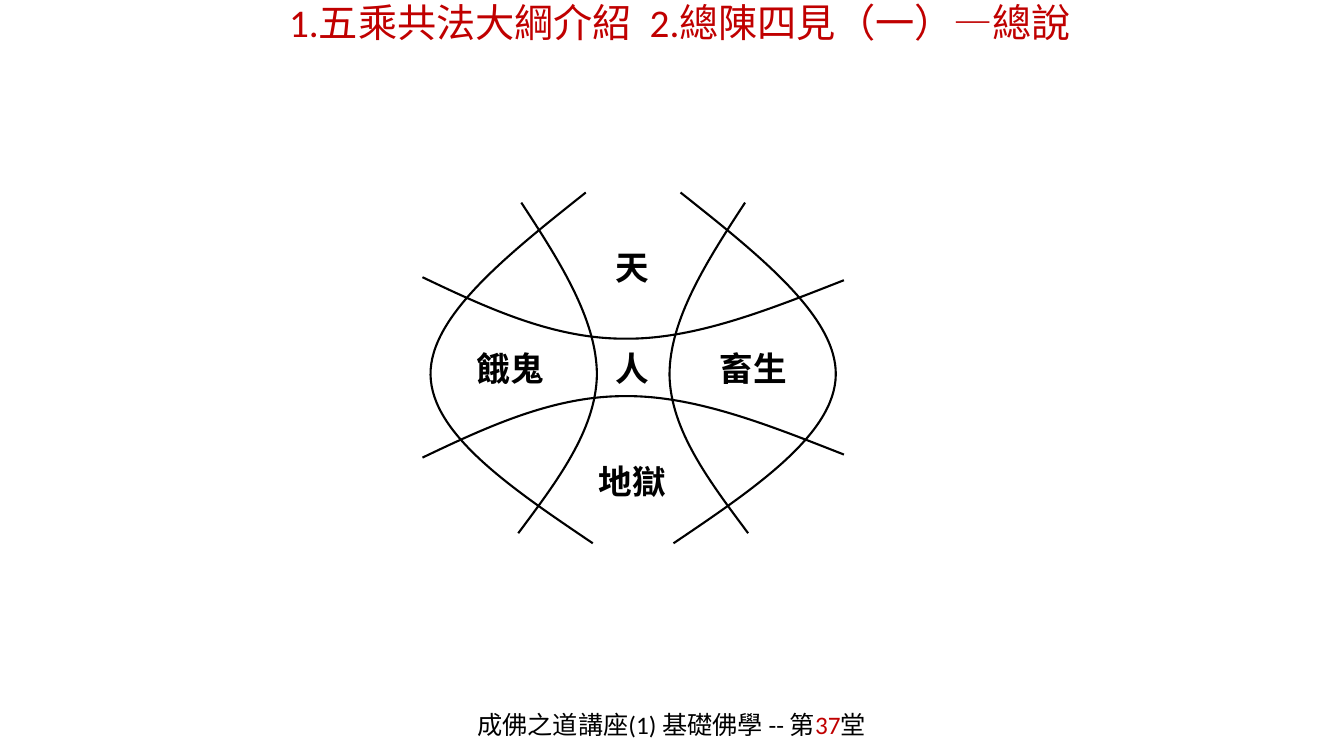
from dataclasses import dataclass

import pptx
import pptx.dml.color
import pptx.enum.text
import pptx.oxml
import pptx.oxml.ns
import pptx.util

Inches = pptx.util.Inches
qn = pptx.oxml.ns.qn
NS = pptx.oxml.ns.nsdecls("a")
ALIGN = pptx.enum.text.PP_ALIGN
ANCHOR = pptx.enum.text.MSO_ANCHOR
BLACK, RED = "000000", "C00000"
MIRROR_X, MIRROR_Y = 12.56, 7.29

Point = tuple[float, float]


@dataclass
class Run:
    text: str
    color: str = BLACK
    spacing: int = 0


@dataclass
class Text:
    box: tuple[float, float, float, float]
    runs: list[Run]
    font: dict
    frame: dict
    paragraph: dict
    indent: float = 0
    shadow: bool = False


@dataclass
class Arc:
    points: list[Point]
    flip_x: bool = False
    flip_y: bool = False


def rgb(color: str) -> pptx.dml.color.RGBColor:
    return pptx.dml.color.RGBColor.from_string(color)


def apply(target, values: dict) -> None:
    for name, value in values.items():
        setattr(target, name, value)


def add_text(s, text: Text) -> None:
    sp = s.shapes.add_textbox(*map(Inches, text.box))
    tf = sp.text_frame
    apply(tf, text.frame)
    p = tf.paragraphs[0]
    apply(p, text.paragraph)
    if text.indent:
        pPr = p._p.get_or_add_pPr()
        pPr.set("marL", "0")
        pPr.set("indent", str(Inches(text.indent)))
    for run in text.runs:
        r = p.add_run()
        r.text = run.text
        apply(r.font, {"name": "Calibri", **text.font})
        r.font.color.rgb = rgb(run.color)
        rPr = r._r.get_or_add_rPr()
        if run.spacing:
            rPr.set("spc", str(run.spacing))
        if text.shadow:
            rPr.find(qn("a:solidFill")).addnext(pptx.oxml.parse_xml(
                f'<a:effectLst {NS}><a:outerShdw blurRad="38100" dist="38100" dir="2700000">'
                '<a:srgbClr val="000000"><a:alpha val="43000"/></a:srgbClr>'
                '</a:outerShdw></a:effectLst>'))


def add_arc(s, arc: Arc) -> None:
    pts = [(Inches(MIRROR_X - x if arc.flip_x else x),
            Inches(MIRROR_Y - y if arc.flip_y else y)) for x, y in arc.points]
    builder = s.shapes.build_freeform(*pts[0])
    builder.add_line_segments([pts[3], pts[6]], close=False)
    sp = builder.convert_to_shape()
    sp.shadow.inherit = False
    sp.fill.background()
    sp.line.color.rgb = rgb(BLACK)
    sp.line.width = pptx.util.Pt(1.5)
    segments = list(sp._element.iter(qn("a:lnTo")))
    for segment, start in zip(segments, (1, 4)):
        coords = "".join(f'<a:pt x="{x - sp.left}" y="{y - sp.top}"/>'
                         for x, y in pts[start:start + 3])
        curve = pptx.oxml.parse_xml(f"<a:cubicBezTo {NS}>{coords}</a:cubicBezTo>")
        segment.getparent().replace(segment, curve)


INNER = [(5.17, 2.01), (5.55, 2.59), (5.92, 3.17), (5.92, 3.72),
         (5.91, 4.27), (5.52, 4.78), (5.14, 5.29)]
OUTER = [(5.81, 1.91), (5.03, 2.53), (4.26, 3.14), (4.27, 3.72),
         (4.28, 4.31), (5.08, 4.85), (5.88, 5.39)]
UPPER = [(8.37, 2.78), (7.63, 3.07), (6.89, 3.37), (6.19, 3.36),
         (5.49, 3.36), (4.84, 3.06), (4.19, 2.75)]
ARCS = [Arc(INNER), Arc(INNER, flip_x=True), Arc(UPPER), Arc(UPPER, flip_y=True),
        Arc(OUTER), Arc(OUTER, flip_x=True)]

REALMS = [("人", 6.01, 3.4), ("天", 6.01, 2.4), ("地獄", 5.84, 4.52),
          ("畜生", 7.04, 3.4), ("餓鬼", 4.63, 3.4)]
REALM_WIDTH = {1: 0.54, 2: 0.88}

FOOTER = Text(
    (4.62, 6.97, 4.08, 0.44),
    [Run("成佛之道講座(1) 基礎佛學 -- 第"), Run("37", RED), Run("堂")],
    {"size": pptx.util.Pt(18)},
    {"word_wrap": True, "vertical_anchor": ANCHOR.MIDDLE},
    {"alignment": ALIGN.CENTER}, shadow=True)
TITLE = Text(
    (0.35, -0.11, 12.62, 0.85),
    [Run("1.五乘共法大綱介紹", RED), Run(" ", RED, 630), Run("2.總陳四見（一）—總說", RED)],
    {"size": pptx.util.Pt(28)},
    {"word_wrap": False, "vertical_anchor": ANCHOR.MIDDLE},
    {"alignment": ALIGN.CENTER, "line_spacing": pptx.util.Pt(20)},
    indent=0.17, shadow=True)


def main() -> None:
    prs = pptx.Presentation()
    apply(prs, {"slide_width": Inches(13.33), "slide_height": Inches(7.5)})
    s = prs.slides.add_slide(prs.slide_layouts[6])
    add_text(s, FOOTER)
    add_text(s, TITLE)
    for arc in ARCS:
        add_arc(s, arc)
    for name, left, top in REALMS:
        add_text(s, Text((left, top, REALM_WIDTH[len(name)], 0.5), [Run(name)],
                         {"size": pptx.util.Pt(24), "bold": True},
                         {"word_wrap": False,
                          "auto_size": pptx.enum.text.MSO_AUTO_SIZE.SHAPE_TO_FIT_TEXT},
                         {"alignment": ALIGN.LEFT}))
    prs.save("out.pptx")


if __name__ == "__main__":
    main()
